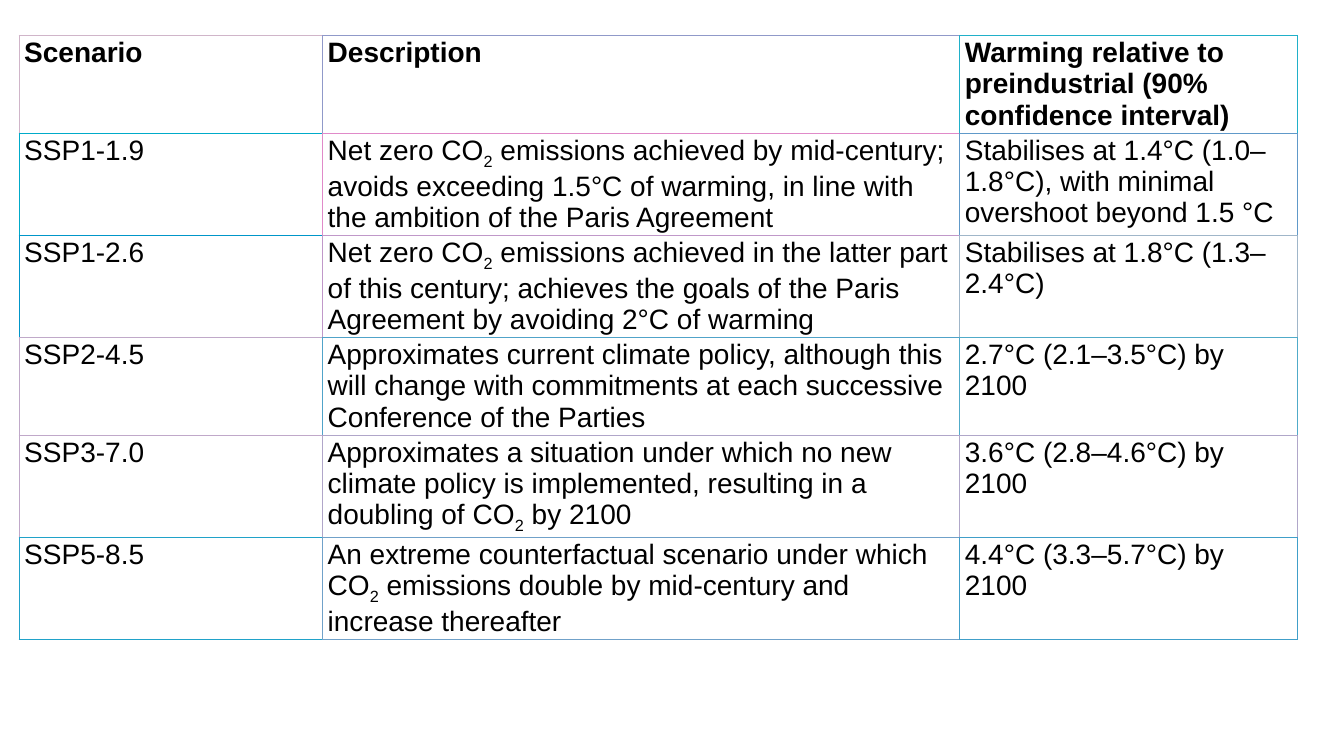
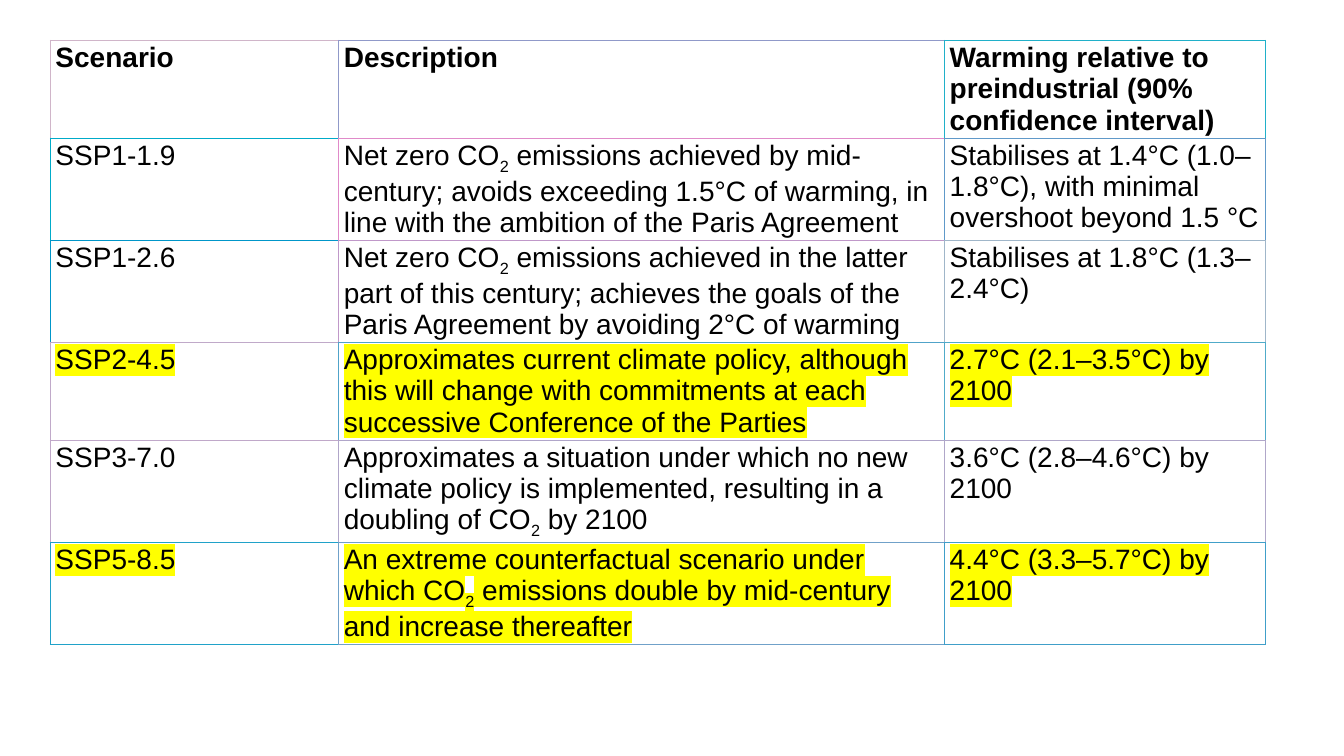
from dataclasses import dataclass

from lxml.etree import SubElement
from pptx import Presentation
from pptx.dml.color import RGBColor
from pptx.oxml.ns import qn
from pptx.util import Inches, Pt

COLOURS = {"text": "000000", "cell": "FFFFFF", "highlight": "FFFF00"}
FONT_NAME = "Arial"
FONT_SIZE = 20
SUBSCRIPT_BASELINE = "-25000"
SIDE_INSET, END_INSET = 0.05, 0.02
ROW_HEIGHTS = (0.5, 0.94, 0.79, 0.94, 0.79, 0.79)
HEADER = ("Scenario", "Description", "Warming relative to preindustrial (90% confidence interval)")

# Each cell owns one edge colour, used on its left and top sides.
EDGE_COLOURS = (
    ("D0B5C9", "9099C9", "20B0C9"),
    ("00ABC9", "E08AC9", "6099C9"),
    ("0096C9", "C098C9", "A0B6C9"),
    ("C0A9C9", "50A3C9", "50ABC9"),
    ("C0A8C9", "B0A6C9", "B0A7C9"),
    ("20A2C9", "70A1C9", "409FC9"),
)


@dataclass(frozen=True)
class Scenario:
    name: str
    description: str
    warming: str


@dataclass(frozen=True)
class TableLayout:
    left: float
    top: float
    column_widths: tuple[float, ...]
    highlighted: tuple[str, ...] = ()


SCENARIOS = (
    Scenario(
        "SSP1-1.9",
        "Net zero CO2 emissions achieved by mid-century; avoids exceeding 1.5°C of warming, "
        "in line with the ambition of the Paris Agreement",
        "Stabilises at 1.4°C (1.0–1.8°C), with minimal overshoot beyond 1.5 °C",
    ),
    Scenario(
        "SSP1-2.6",
        "Net zero CO2 emissions achieved in the latter part of this century; achieves the goals "
        "of the Paris Agreement by avoiding 2°C of warming",
        "Stabilises at 1.8°C (1.3–2.4°C)",
    ),
    Scenario(
        "SSP2-4.5",
        "Approximates current climate policy, although this will change with commitments "
        "at each successive Conference of the Parties",
        "2.7°C (2.1–3.5°C) by 2100",
    ),
    Scenario(
        "SSP3-7.0",
        "Approximates a situation under which no new climate policy is implemented, "
        "resulting in a doubling of CO2 by 2100",
        "3.6°C (2.8–4.6°C) by 2100",
    ),
    Scenario(
        "SSP5-8.5",
        "An extreme counterfactual scenario under which CO2 emissions double by mid-century "
        "and increase thereafter",
        "4.4°C (3.3–5.7°C) by 2100",
    ),
)

LAYOUTS = (
    TableLayout(0.19, 0.35, (3.01, 6.32, 3.35)),
    TableLayout(0.5, 0.4, (2.86, 6.01, 3.18), ("SSP2-4.5", "SSP5-8.5")),
)


def add_span(para, text: str, bold: bool, highlighted: bool, subscript: bool = False) -> None:
    span = para.add_run()
    span.text = text
    font = span.font
    font.size = Pt(FONT_SIZE)
    font.bold = bold
    font.color.rgb = RGBColor.from_string(COLOURS["text"])
    properties = font._element
    if subscript:
        properties.set("baseline", SUBSCRIPT_BASELINE)
    if highlighted:
        highlight = SubElement(properties, qn("a:highlight"))
        SubElement(highlight, qn("a:srgbClr"), val=COLOURS["highlight"])
    font.name = FONT_NAME


def write_text(cell, text: str, bold: bool, highlighted: bool) -> None:
    """Write a cell's text with the 2 of CO2 as a subscript."""
    para = cell.text_frame.paragraphs[0]
    before, formula, after = text.partition("CO2")
    add_span(para, before + formula[:2], bold, highlighted)
    if formula:
        add_span(para, formula[2:], bold, highlighted, subscript=True)
        add_span(para, after, bold, highlighted)


def draw_borders(cell, row: int, column: int) -> None:
    """Right and bottom sides take the neighbouring cell's colour where there is one."""
    own = EDGE_COLOURS[row][column]
    right = EDGE_COLOURS[row][min(column + 1, len(HEADER) - 1)]
    below = EDGE_COLOURS[min(row + 1, len(EDGE_COLOURS) - 1)][column]
    properties = cell._tc.get_or_add_tcPr()
    for tag, colour, width in (
        ("a:lnL", own, 1),
        ("a:lnR", right, 1),
        ("a:lnT", own, 0.75),
        ("a:lnB", below, 0.75),
    ):
        line = SubElement(properties, qn(tag), w=str(Pt(width)))
        fill = SubElement(line, qn("a:solidFill"))
        SubElement(fill, qn("a:srgbClr"), val=colour)


def style_cell(cell, row: int, column: int) -> None:
    cell.margin_left = cell.margin_right = Inches(SIDE_INSET)
    cell.margin_top = cell.margin_bottom = Inches(END_INSET)
    draw_borders(cell, row, column)
    cell.fill.solid()
    cell.fill.fore_color.rgb = RGBColor.from_string(COLOURS["cell"])


def add_scenario_table(page, layout: TableLayout) -> None:
    table = page.shapes.add_table(
        len(ROW_HEIGHTS), len(HEADER),
        Inches(layout.left), Inches(layout.top),
        Inches(sum(layout.column_widths)), Inches(sum(ROW_HEIGHTS)),
    ).table
    table.first_row = table.horz_banding = False
    for table_column, width in zip(table.columns, layout.column_widths):
        table_column.width = Inches(width)
    for table_row, height in zip(table.rows, ROW_HEIGHTS):
        table_row.height = Inches(height)

    lines = [HEADER] + [(item.name, item.description, item.warming) for item in SCENARIOS]
    for row, texts in enumerate(lines):
        highlighted = texts[0] in layout.highlighted
        for column, text in enumerate(texts):
            cell = table.cell(row, column)
            style_cell(cell, row, column)
            write_text(cell, text, row == 0, highlighted)


def main() -> None:
    deck = Presentation()
    deck.slide_width, deck.slide_height = Inches(13.33), Inches(7.5)
    blank = deck.slide_layouts[6]
    for layout in LAYOUTS:
        add_scenario_table(deck.slides.add_slide(blank), layout)
    deck.save("out.pptx")


if __name__ == "__main__":
    main()
